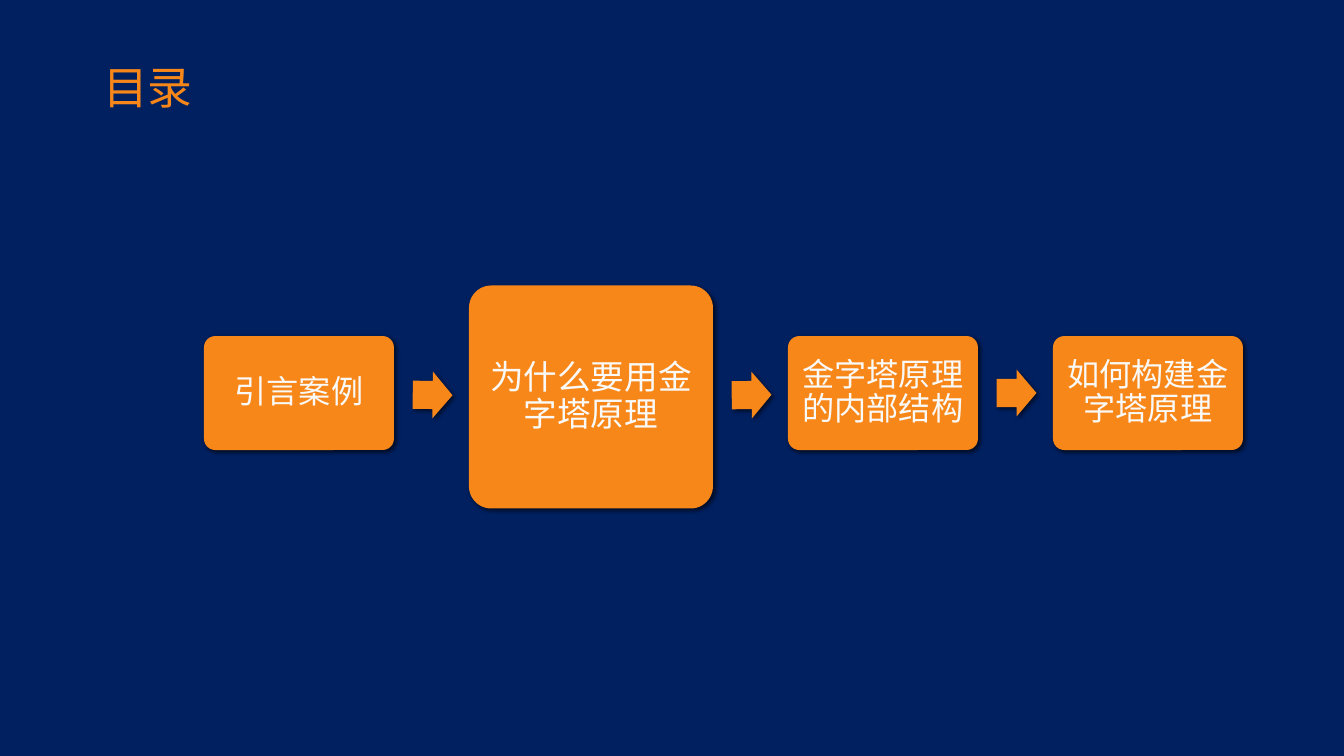
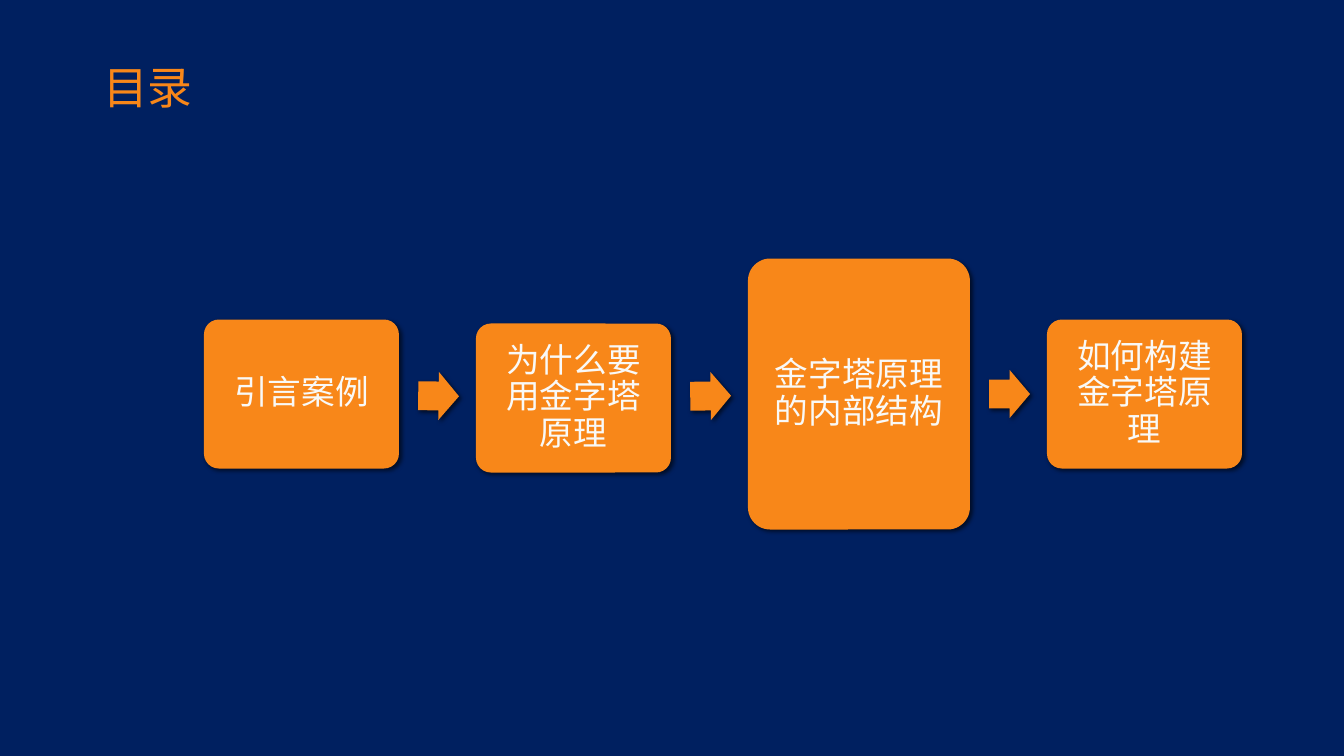
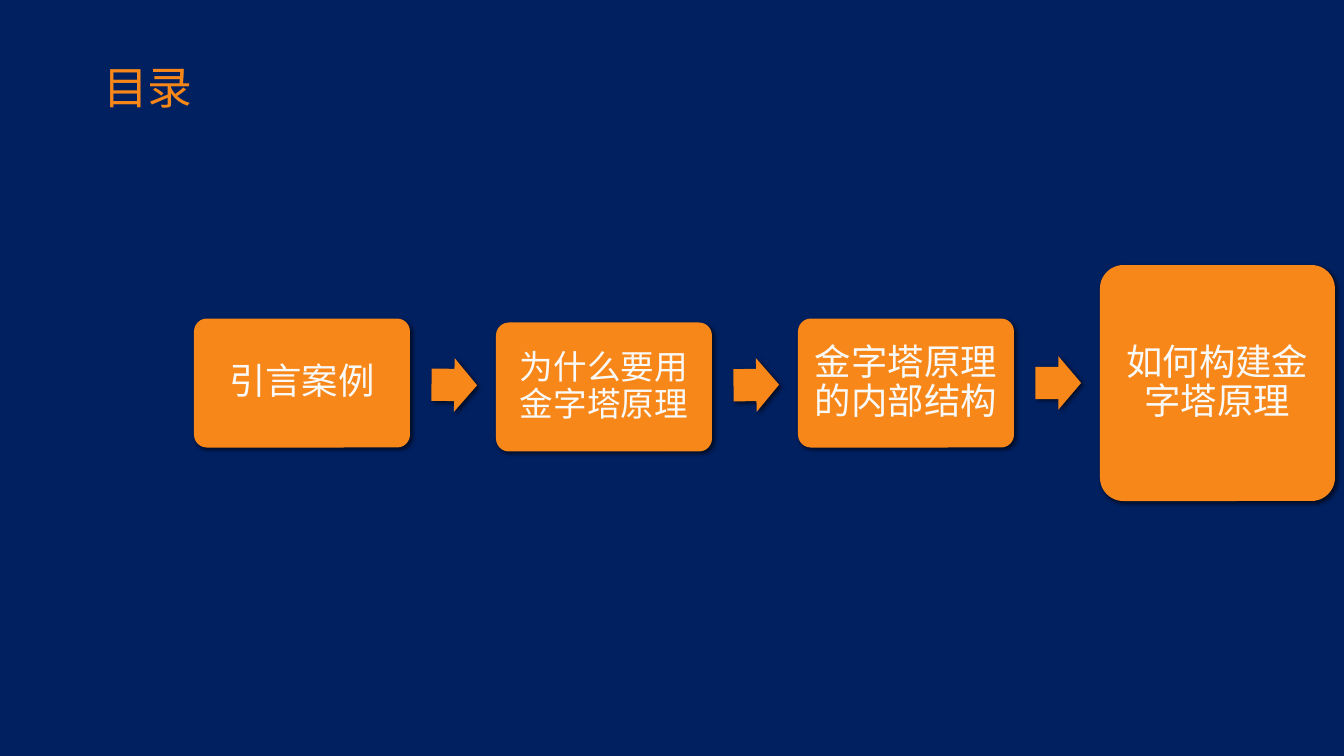
import math

import lxml.etree
import pptx
import pptx.dml.color
import pptx.enum.shapes
import pptx.enum.text
import pptx.oxml.ns
import pptx.util

PX = 914400 / 100.8  # EMU per px
COLOURS = {"navy": "002060", "orange": "F88719", "white": "F9F9F7", "shadow": "000000"}
FONT = "Calibri"
DIP = 4  # the second step sits slightly lower than the others
TOPICS = ["引言案例", "为什么要用金字塔原理", "金字塔原理的内部结构", "如何构建金字塔原理"]

# One agenda per slide; "current" is the index of the enlarged step
AGENDAS = [
    {"current": 1, "left": 204, "middle": 393, "gap": 75,
     "step": (190, 114), "large": (244, 223), "points": [23, 24, 23, 23]},
    {"current": 2, "left": 204, "middle": 394, "gap": 77,
     "step": (195, 149), "large": (222, 271), "points": [24, 24, 24, 24]},
    {"current": 3, "left": 194, "middle": 383, "gap": 86,
     "step": (216, 129), "large": (235, 236), "points": [26, 24, 26, 26]},
]


def emu(px):
    return pptx.util.Emu(round(px * PX))


def rgb(name):
    return pptx.dml.color.RGBColor.from_string(COLOURS[name])


class Deck:
    """Holds the shared style and the current slide."""

    def __init__(self):
        self.prs = pptx.Presentation()
        self.prs.slide_width, self.prs.slide_height = emu(1344), emu(756)
        backdrop = self.prs.slide_master.background.fill
        backdrop.solid()
        backdrop.fore_color.rgb = rgb("navy")
        self.slide = None

    def new_slide(self, heading):
        self.slide = self.prs.slides.add_slide(self.prs.slide_layouts[5])
        title = self.slide.shapes.title
        title.left, title.top, title.width, title.height = map(emu, (93, 55, 111, 65))
        frame = title.text_frame
        frame.word_wrap = False
        frame.auto_size = pptx.enum.text.MSO_AUTO_SIZE.SHAPE_TO_FIT_TEXT
        frame.vertical_anchor = pptx.enum.text.MSO_ANCHOR.TOP
        self.set_text(frame, heading, 32, "orange", pptx.enum.text.PP_ALIGN.LEFT)

    def set_text(self, frame, text, points, colour, align):
        frame.text = text
        paragraph = frame.paragraphs[0]
        paragraph.alignment = align
        paragraph.font.name = FONT
        paragraph.font.size = pptx.util.Pt(points)
        paragraph.font.color.rgb = rgb(colour)
        return paragraph

    def block(self, kind, left, centre, width, height):
        """Orange shape with a soft shadow, centred on a height."""
        shape = self.slide.shapes.add_shape(
            kind, emu(left), emu(centre - height / 2), emu(width), emu(height))
        shape.fill.solid()
        shape.fill.fore_color.rgb = rgb("orange")
        shape.line.fill.background()
        shape.shadow.inherit = False
        qn = pptx.oxml.ns.qn
        effects = shape.element.spPr.find(qn("a:effectLst"))
        shadow = lxml.etree.SubElement(
            effects, qn("a:outerShdw"), blurRad="38100", dist="25400",
            dir="2700000", algn="br", rotWithShape="0")
        tint = lxml.etree.SubElement(shadow, qn("a:srgbClr"), val=COLOURS["shadow"])
        lxml.etree.SubElement(tint, qn("a:alpha"), val="60000")
        return shape

    def step(self, topic, points, left, centre, size):
        box = self.block(pptx.enum.shapes.MSO_SHAPE.ROUNDED_RECTANGLE, left, centre, *size)
        box.adjustments[0] = 0.1
        frame = box.text_frame
        frame.word_wrap = True
        frame.vertical_anchor = pptx.enum.text.MSO_ANCHOR.MIDDLE
        frame.margin_left = frame.margin_right = emu(10)
        frame.margin_top = frame.margin_bottom = emu(10)
        label = self.set_text(frame, topic, points, "white", pptx.enum.text.PP_ALIGN.CENTER)
        label.line_spacing = 0.9

    def arrow(self, left, centre, gap, angle):
        pointer = self.block(pptx.enum.shapes.MSO_SHAPE.RIGHT_ARROW,
                             left + gap / 4, centre, 0.53 * gap, 0.625 * gap)
        pointer.adjustments[0] = 0.6
        pointer.adjustments[1] = 0.5
        pointer.rotation = angle

    def agenda(self, current, left, middle, gap, step, large, points):
        sizes = [large if i == current else step for i in range(len(TOPICS))]
        centres = [middle + (DIP if i == 1 else 0) for i in range(len(TOPICS))]
        for i, topic in enumerate(TOPICS):
            self.step(topic, points[i], left, centres[i], sizes[i])
            left += sizes[i][0]
            # Arrow points from this step's centre to the next one's
            if i + 1 < len(TOPICS):
                run = (sizes[i][0] + sizes[i + 1][0]) / 2 + gap
                rise = centres[i + 1] - centres[i]
                self.arrow(left, (centres[i] + centres[i + 1]) / 2, gap,
                           math.degrees(math.atan2(rise, run)))
            left += gap


def main():
    deck = Deck()
    for agenda in AGENDAS:
        deck.new_slide("目录")
        deck.agenda(**agenda)
    deck.prs.save("out.pptx")


if __name__ == "__main__":
    main()
